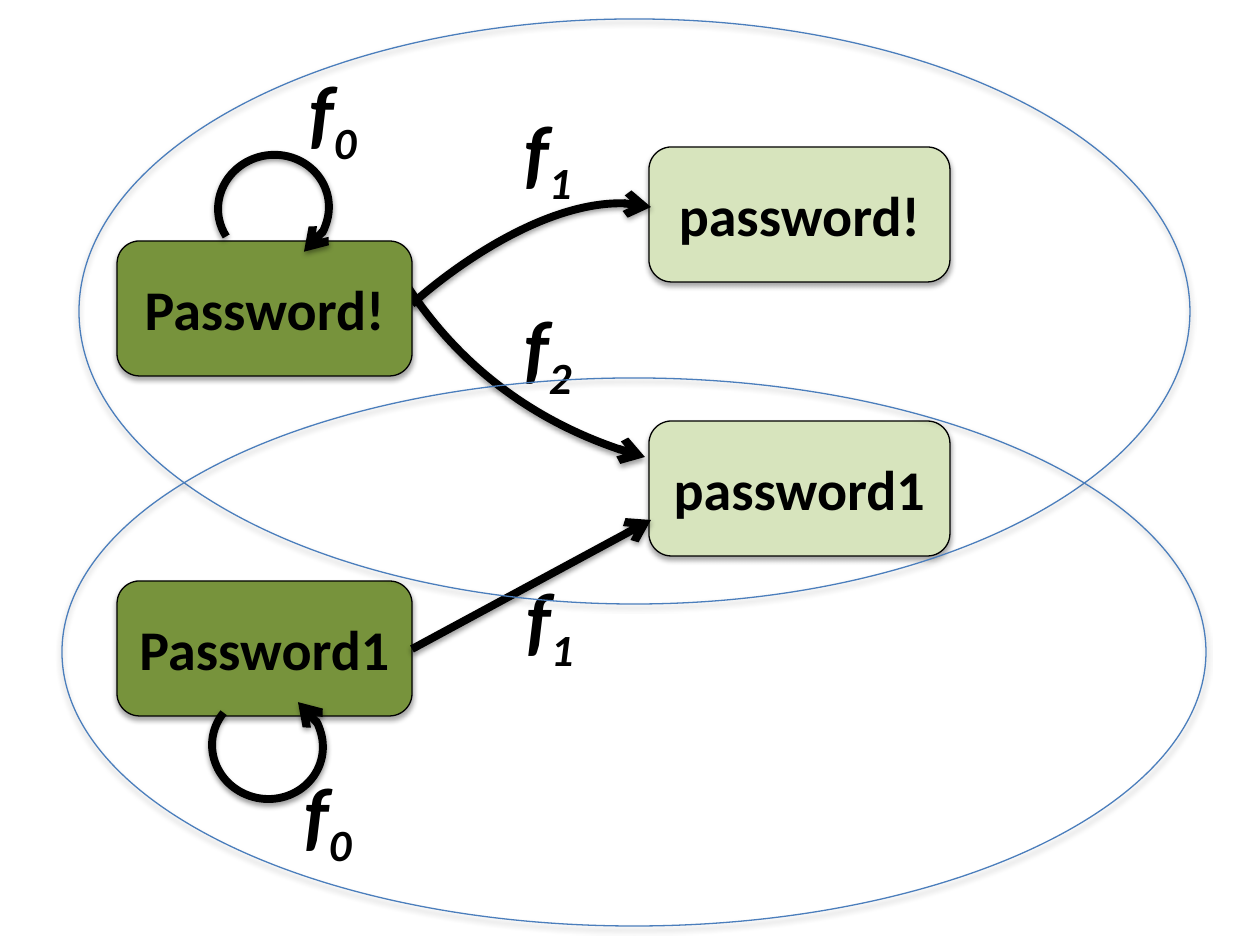
from pptx import Presentation
from pptx.dml.color import RGBColor
from pptx.enum.shapes import MSO_CONNECTOR, MSO_SHAPE
from pptx.enum.text import MSO_ANCHOR, MSO_AUTO_SIZE, PP_ALIGN
from pptx.oxml.ns import qn
from pptx.util import Pt
from lxml.etree import SubElement

PX = 914400 / 126
COLORS = {"ink": "000000", "dark": "77933C", "light": "D7E4BD", "ring": "4B7EBC"}


def emu(*vals):
    return [round(v * PX) for v in vals]


class Board:
    font = "Calibri"

    def __init__(self, slide):
        self.slide = slide
        self.shapes = slide.shapes

    def color(self, name):
        return RGBColor.from_string(COLORS[name])

    def style(self, shape, line="ink", width=0.75, fill=None, end=None):
        """Set fill, line, arrowhead and soft shadow."""
        if fill:
            shape.fill.solid()
            shape.fill.fore_color.rgb = self.color(fill)
        elif hasattr(shape, "fill"):
            shape.fill.background()
        shape.line.color.rgb = self.color(line)
        shape.line.width = Pt(width)
        props = shape._element.spPr
        if end:
            SubElement(props.find(qn("a:ln")), qn(f"a:{end}"), type="arrow")
        for old in props.findall(qn("a:effectLst")):
            props.remove(old)
        bold = width > 1
        shadow = SubElement(
            SubElement(props, qn("a:effectLst")), qn("a:outerShdw"),
            blurRad=str(Pt(3.1)), dist=str(Pt(1.6 if bold else 1.8)),
            dir="5400000", rotWithShape="0")
        tint = SubElement(shadow, qn("a:srgbClr"), val=COLORS["ink"])
        SubElement(tint, qn("a:alpha"), val="38000" if bold else "35000")

    def format(self, par, size):
        par.font.name = self.font
        par.font.size = Pt(size)
        par.font.bold = True
        par.font.color.rgb = self.color("ink")

    def box(self, text, x, y, w, fill):
        shape = self.shapes.add_shape(
            MSO_SHAPE.ROUNDED_RECTANGLE, *emu(x, y, w, 135))
        self.style(shape, fill=fill)
        frame = shape.text_frame
        frame.vertical_anchor = MSO_ANCHOR.MIDDLE
        par = frame.paragraphs[0]
        par.text = text
        par.alignment = PP_ALIGN.CENTER
        self.format(par, 32)

    def label(self, sub, x, y):
        frame = self.shapes.add_textbox(*emu(x, y, 93, 106)).text_frame
        frame.word_wrap = False
        frame.auto_size = MSO_AUTO_SIZE.SHAPE_TO_FIT_TEXT
        par = frame.paragraphs[0]
        par.add_run().text = "f"
        low = par.add_run()
        low.text = sub
        low.font._element.set("baseline", "-25000")
        self.format(par, 44)
        par.font.italic = True

    def curve(self, start, *rest):
        """Draw one cubic curve: two control points, then the end."""
        pen = self.shapes.build_freeform(*start, scale=PX)
        pen.add_line_segments(rest, close=False)
        shape = pen.convert_to_shape()
        track = next(shape._element.iter(qn("a:path")))
        bend = SubElement(track, qn("a:cubicBezTo"))
        for step in track.findall(qn("a:lnTo")):
            bend.append(step[0])
            track.remove(step)
        self.style(shape, width=4.5, end="tailEnd")

    def arrow(self, *ends):
        line = self.shapes.add_connector(MSO_CONNECTOR.STRAIGHT, *emu(*ends))
        self.style(line, width=4.5, end="tailEnd")

    def loop(self, x, y, turn, stop, flip=False):
        shape = self.shapes.add_shape(MSO_SHAPE.ARC, *emu(x, y, 111, 106))
        shape.adjustments[0] = 176.03
        shape.adjustments[1] = stop
        shape.rotation = turn
        if flip:
            shape._element.spPr.find(qn("a:xfrm")).set("flipV", "1")
        self.style(shape, width=4.5, end="headEnd")

    def ring(self, *area):
        shape = self.shapes.add_shape(MSO_SHAPE.OVAL, *emu(*area))
        self.style(shape, line="ring")


def main():
    deck = Presentation()
    deck.slide_width, deck.slide_height = emu(1260, 945)
    board = Board(deck.slides.add_slide(deck.slide_layouts[6]))

    # Target passwords and the curves that lead to them
    board.box("Password1", 117, 581, 295, "dark")
    for text, y in (("password1", 421), ("password!", 147)):
        board.box(text, 649, y, 301, "light")
    board.curve((412, 304), (464, 258), (573, 186), (651, 207))
    board.curve((406, 284), (457, 363), (543, 430), (645, 457))
    board.box("Password!", 117, 241, 295, "dark")
    board.arrow(412, 649, 651, 520)

    # Loops from a password to itself
    board.loop(212, 693, 11.5, 123.37)
    board.loop(218, 155, 348.5, 119.76, flip=True)

    # Function names
    for sub, x, y in (("1", 514, 564), ("1", 512, 97), ("2", 512, 292),
                      ("0", 297, 57), ("0", 292, 759)):
        board.label(sub, x, y)

    # Overlapping sets
    board.ring(79, 19, 1111, 585)
    board.ring(62, 378, 1144, 548)

    deck.save("out.pptx")


if __name__ == "__main__":
    main()
